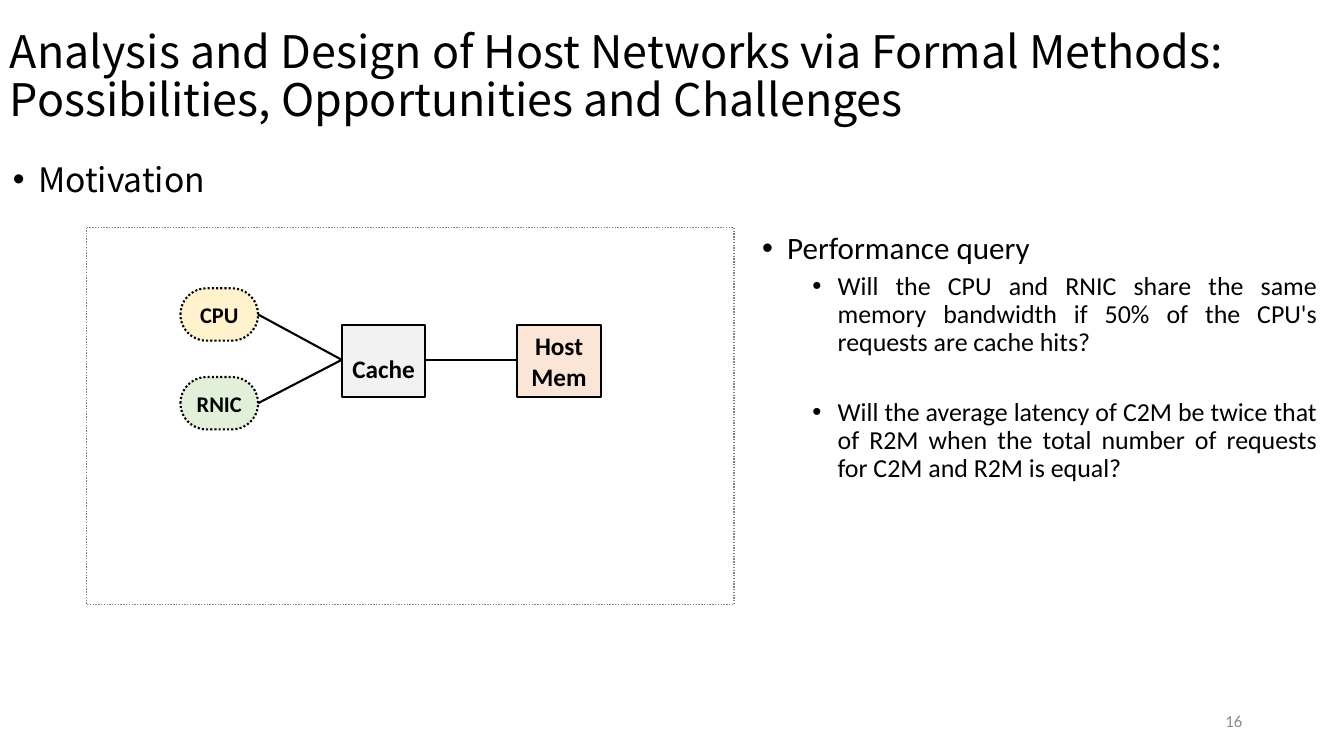
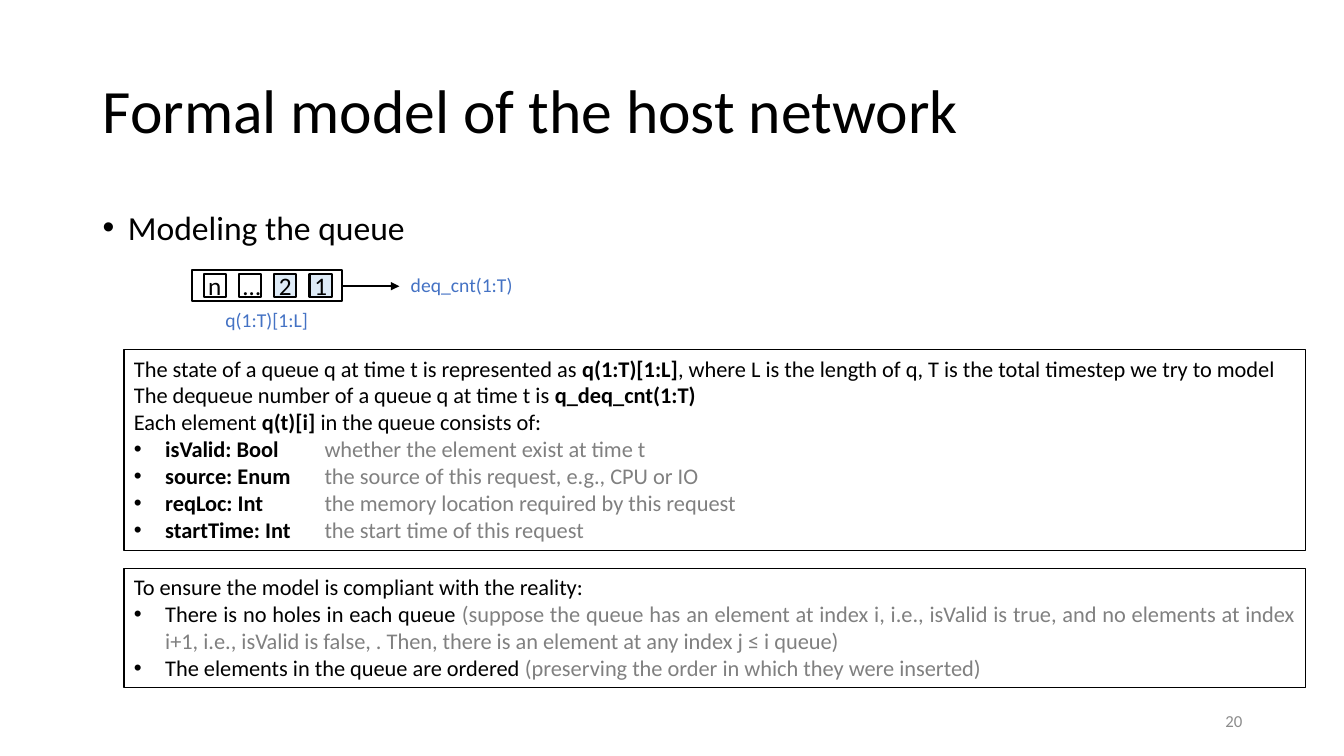
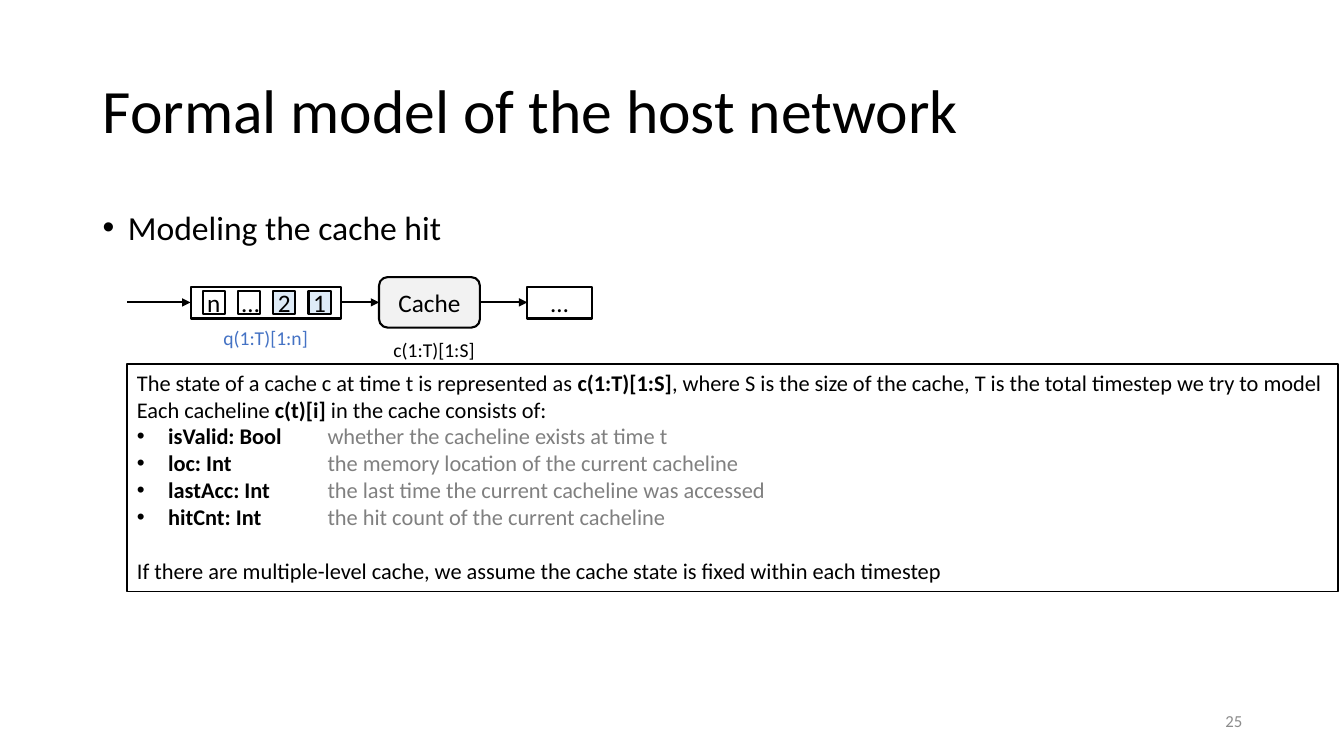
from lxml import etree
from pptx import Presentation
from pptx.dml.color import RGBColor
from pptx.enum.dml import MSO_LINE
from pptx.enum.shapes import MSO_CONNECTOR, MSO_SHAPE
from pptx.enum.text import MSO_ANCHOR, MSO_AUTO_SIZE, PP_ALIGN
from pptx.oxml.ns import qn
from pptx.util import Inches, Pt

# Shared colours, fonts and formats
BLACK = RGBColor(0x00, 0x00, 0x00)
WHITE = RGBColor(0xFF, 0xFF, 0xFF)
GREY = RGBColor(0x80, 0x80, 0x80)
NUMBER_GREY = RGBColor(0x8C, 0x8C, 0x8C)
PALE_GREY = RGBColor(0xF2, 0xF2, 0xF2)
BLUE = RGBColor(0x44, 0x72, 0xC4)
PALE_BLUE = RGBColor(0xDE, 0xEB, 0xF7)
CREAM = RGBColor(0xFF, 0xF2, 0xCC)
PALE_GREEN = RGBColor(0xE2, 0xF0, 0xD9)
PEACH = RGBColor(0xFB, 0xE5, 0xD6)

BODY_FONT = "Calibri"
OPENING_FONT = "Noto Sans CJK SC"
BOLD = {"bold": True}
NOTE = {"color": GREY}
LEFT, CENTER, RIGHT, JUSTIFY = (
    PP_ALIGN.LEFT, PP_ALIGN.CENTER, PP_ALIGN.RIGHT, PP_ALIGN.JUSTIFY)
TIGHT = (0.04, 0.05)
SNUG = (0, 0.04)
FIELD_TAB = 1.89


def apply(target, values):
    for name, value in values.items():
        setattr(target, name, value)


# Text
def line(*spans, bullet=None, tab=None, **values):
    """Describe a paragraph; bullet is (left margin, hanging indent)."""
    return {"spans": spans, "bullet": bullet, "tab": tab, "values": values}


def field(name, meaning):
    return line((name + "\t", BOLD), (meaning, NOTE),
                bullet=(0.31, 0.31), tab=FIELD_TAB)


def add_span(para, text, size, font=BODY_FONT, color=BLACK, bold=False):
    span = para.add_run()
    span.text = text
    apply(span.font, {"name": font, "size": Pt(size), "bold": bold})
    span.font.color.rgb = color


def write(shape, lines, size, align=LEFT, anchor=MSO_ANCHOR.TOP,
          inset=(0.1, 0.05), grow=False, **look):
    frame = shape.text_frame
    side, end = (Inches(value) for value in inset)
    apply(frame, {
        "word_wrap": True, "vertical_anchor": anchor,
        "margin_left": side, "margin_right": side,
        "margin_top": end, "margin_bottom": end,
        "auto_size": MSO_AUTO_SIZE.SHAPE_TO_FIT_TEXT if grow else MSO_AUTO_SIZE.NONE,
    })
    for index, item in enumerate(lines):
        para = frame.add_paragraph() if index else frame.paragraphs[0]
        apply(para, {"alignment": align, **item["values"]})
        props = para._p.get_or_add_pPr()
        if item["bullet"]:
            margin, hanging = item["bullet"]
            props.set("marL", str(Inches(margin)))
            props.set("indent", str(-Inches(hanging)))
            etree.SubElement(props, qn("a:buFont"), typeface="Arial")
            etree.SubElement(props, qn("a:buChar"), char="•")
        if item["tab"]:
            stops = etree.SubElement(props, qn("a:tabLst"))
            etree.SubElement(stops, qn("a:tab"), pos=str(Inches(item["tab"])), algn="l")
        for span in item["spans"]:
            text, change = (span, {}) if isinstance(span, str) else span
            add_span(para, text, **{"size": size, **look, **change})


def add_text(page, box, lines, size, **look):
    shape = page.shapes.add_textbox(*map(Inches, box))
    write(shape, lines, size, **look)


# Shapes and lines
def add_box(page, box, fill=None, kind=MSO_SHAPE.RECTANGLE, edge=BLACK,
            weight=1.5, dash=None, corner=None):
    shape = page.shapes.add_shape(kind, *map(Inches, box))
    shape.shadow.inherit = False
    if corner is not None:
        shape.adjustments[0] = corner
    if fill is None:
        shape.fill.background()
    else:
        shape.fill.solid()
        shape.fill.fore_color.rgb = fill
    shape.line.color.rgb = edge
    apply(shape.line, {"width": Pt(weight), "dash_style": dash})
    return shape


def add_label_box(page, box, text, fill=None, size=18, bold=False,
                  inset=TIGHT, spacing=1.0, **outline):
    shape = add_box(page, box, fill, **outline)
    write(shape, [line(text, line_spacing=spacing)], size, align=CENTER,
          anchor=MSO_ANCHOR.MIDDLE, inset=inset, bold=bold)


def add_link(page, start, end, arrow=False):
    link = page.shapes.add_connector(
        MSO_CONNECTOR.STRAIGHT, *map(Inches, (*start, *end)))
    link.line.color.rgb = BLACK
    link.line.width = Pt(1.5)
    props = link._element.spPr
    if arrow:
        etree.SubElement(props.find(qn("a:ln")), qn("a:tailEnd"), type="triangle")
    etree.SubElement(props, qn("a:effectLst"))


# Parts shared by all slides
def add_page(deck, number, title, title_box, title_size, topic, topic_box,
             font=BODY_FONT):
    page = deck.slides.add_slide(deck.slide_layouts[6])
    add_text(page, title_box, [line(title, line_spacing=0.9)], title_size,
             anchor=MSO_ANCHOR.MIDDLE, font=font)
    add_text(page, topic_box,
             [line(topic, bullet=(0.25, 0.25), space_before=Pt(10))],
             24, align=JUSTIFY, font=font)
    add_text(page, (9.42, 6.95, 3, 0.4), [line(str(number))], 12, align=RIGHT,
             anchor=MSO_ANCHOR.MIDDLE, color=NUMBER_GREY)
    return page


def add_model_page(deck, number, topic):
    return add_page(deck, number, "Formal model of the host network",
                    (0.92, 0.4, 11.01, 1.45), 44, topic, (0.92, 2, 10.56, 5.22))


def add_caption(page, box, text, color=BLUE):
    add_text(page, box, [line(text)], 14, align=CENTER, grow=True, color=color)


def add_panel(page, box, lines, align=LEFT):
    write(add_box(page, box, WHITE, weight=1), lines, 16, align=align, grow=True)


def add_queue(page, left, top, caption):
    add_box(page, (left, top, 1.49, 0.31), WHITE)
    cells = [("n", None), ("…", None), ("2", PALE_BLUE), ("1", PALE_BLUE)]
    for index, (text, fill) in enumerate(cells):
        add_label_box(page, (left + 0.12 + 0.35 * index, top + 0.04, 0.22, 0.23),
                      text, fill)
    add_caption(page, (left - 0.98, top + 0.33, 3.45, 0.34), caption)


# Memory access diagram
def add_host_diagram(page, box):
    left, top = box[:2]
    middle = top + 1.31
    cache, memory = left + 2.53, left + 4.27
    add_box(page, box, kind=MSO_SHAPE.ROUNDED_RECTANGLE, edge=GREY, weight=1,
            dash=MSO_LINE.ROUND_DOT, corner=0)
    for name, fill, drop in (("CPU", CREAM, 0.6), ("RNIC", PALE_GREEN, 1.48)):
        add_label_box(page, (left + 0.93, top + drop, 0.77, 0.52), name, fill,
                      size=16, bold=True, inset=SNUG, corner=0.5,
                      kind=MSO_SHAPE.ROUNDED_RECTANGLE, dash=MSO_LINE.ROUND_DOT)
        add_link(page, (left + 1.7, top + drop + 0.26), (cache, middle))
    add_link(page, (cache + 0.83, middle), (memory, middle))
    add_label_box(page, (cache, middle - 0.35, 0.83, 0.72), "Cache", PALE_GREY,
                  bold=True, spacing=1.5)
    add_label_box(page, (memory, middle - 0.35, 0.83, 0.72), "Host Mem", PEACH,
                  bold=True)


def build_motivation(deck):
    page = add_page(
        deck, 16,
        "Analysis and Design of Host Networks via Formal Methods: "
        "Possibilities, Opportunities and Challenges",
        (0, 0.02, 13.33, 1.51), 32, "Motivation", (0.03, 1.53, 12.95, 5.97),
        font=OPENING_FONT)
    add_host_diagram(page, (0.86, 2.26, 6.42, 3.74))
    questions = [
        ("Will the CPU and RNIC share the same memory bandwidth if 50% of "
         "the CPU's requests are cache hits?", 5),
        ("Will the average latency of C2M be twice that of R2M when the total "
         "number of requests for C2M and R2M is equal?", 30),
    ]
    lines = [line("Performance query", bullet=(0.25, 0.25), line_spacing=0.9,
                  space_before=Pt(10))]
    lines += [line((text, {"size": 18.5}), bullet=(0.75, 0.25), line_spacing=0.9,
                   space_before=Pt(gap)) for text, gap in questions]
    add_text(page, (7.46, 2.26, 5.7, 2.86), lines, 22.2, align=JUSTIFY)


def build_queue_model(deck):
    page = add_model_page(deck, 20, "Modeling the queue")
    # State of the queue
    add_panel(page, (1.23, 3.47, 11.72, 1.99), [
        line("The state of a queue q at time t is represented as ",
             ("q(1:T)[1:L]", BOLD),
             ", where L is the length of q, T is the total timestep we try to model"),
        line("The dequeue number of a queue q at time t is ",
             ("q_deq_cnt(1:T)", BOLD)),
        line("Each element ", ("q(t)[i] ", BOLD), "in the queue consists of:"),
        field("isValid: Bool", "whether the element exist at time t"),
        field("source: Enum", "the source of this request, e.g., CPU or IO"),
        field("reqLoc: Int", "the memory location required by this request"),
        field("startTime: Int", "the start time of this request"),
    ])
    # Constraints
    add_panel(page, (1.23, 5.64, 11.72, 1.18), [
        line("To ensure the model is compliant with the reality:"),
        line("There is no holes in each queue",
             (" (suppose the queue has an element at index i, i.e., isValid is true, "
              "and no elements at index i+1, i.e., isValid is false, . Then, there is "
              "an element at any index j ≤ i queue)", NOTE), bullet=(0.31, 0.31)),
        line("The elements in the queue are ordered",
             (" (preserving the order in which they were inserted)", NOTE),
             bullet=(0.31, 0.31)),
    ], align=JUSTIFY)
    # Queue diagram
    add_queue(page, 1.9, 2.68, "q(1:T)[1:L]")
    add_link(page, (3.39, 2.84), (3.96, 2.84), arrow=True)
    add_caption(page, (3.96, 2.66, 1.24, 0.34), "deq_cnt(1:T)")


def build_cache_model(deck):
    page = add_model_page(deck, 25, "Modeling the cache hit")
    # Request flow
    add_queue(page, 1.89, 2.85, "q(1:T)[1:n]")
    add_label_box(page, (3.76, 2.75, 1, 0.5), "Cache", PALE_GREY,
                  kind=MSO_SHAPE.ROUNDED_RECTANGLE)
    add_label_box(page, (5.23, 2.85, 0.64, 0.31), "…", WHITE)
    for start, end in ((1.26, 1.89), (3.39, 3.76), (4.76, 5.23)):
        add_link(page, (start, 3), (end, 3), arrow=True)
    # State of the cache
    add_panel(page, (1.26, 3.61, 12.01, 2.26), [
        line("The state of a cache c at time t is represented as ",
             ("c(1:T)[1:S]", BOLD),
             ", where S is the size of the cache, T is the total timestep we try to model"),
        line("Each cacheline ", ("c(t)[i] ", BOLD), "in the cache consists of:"),
        field("isValid: Bool", "whether the cacheline exists at time t"),
        field("loc: Int", "the memory location of the current cacheline"),
        field("lastAcc: Int", "the last time the current cacheline was accessed"),
        field("hitCnt: Int", "the hit count of the current cacheline"),
        line("If there are multiple-level cache, we assume the cache state is fixed "
             "within each timestep", space_before=Pt(19.5)),
    ])
    add_caption(page, (2.58, 3.3, 3.45, 0.34), "c(1:T)[1:S]", BLACK)


def main():
    deck = Presentation()
    apply(deck, {"slide_width": Inches(13.33), "slide_height": Inches(7.5)})
    for build in (build_motivation, build_queue_model, build_cache_model):
        build(deck)
    deck.save("out.pptx")


if __name__ == "__main__":
    main()
